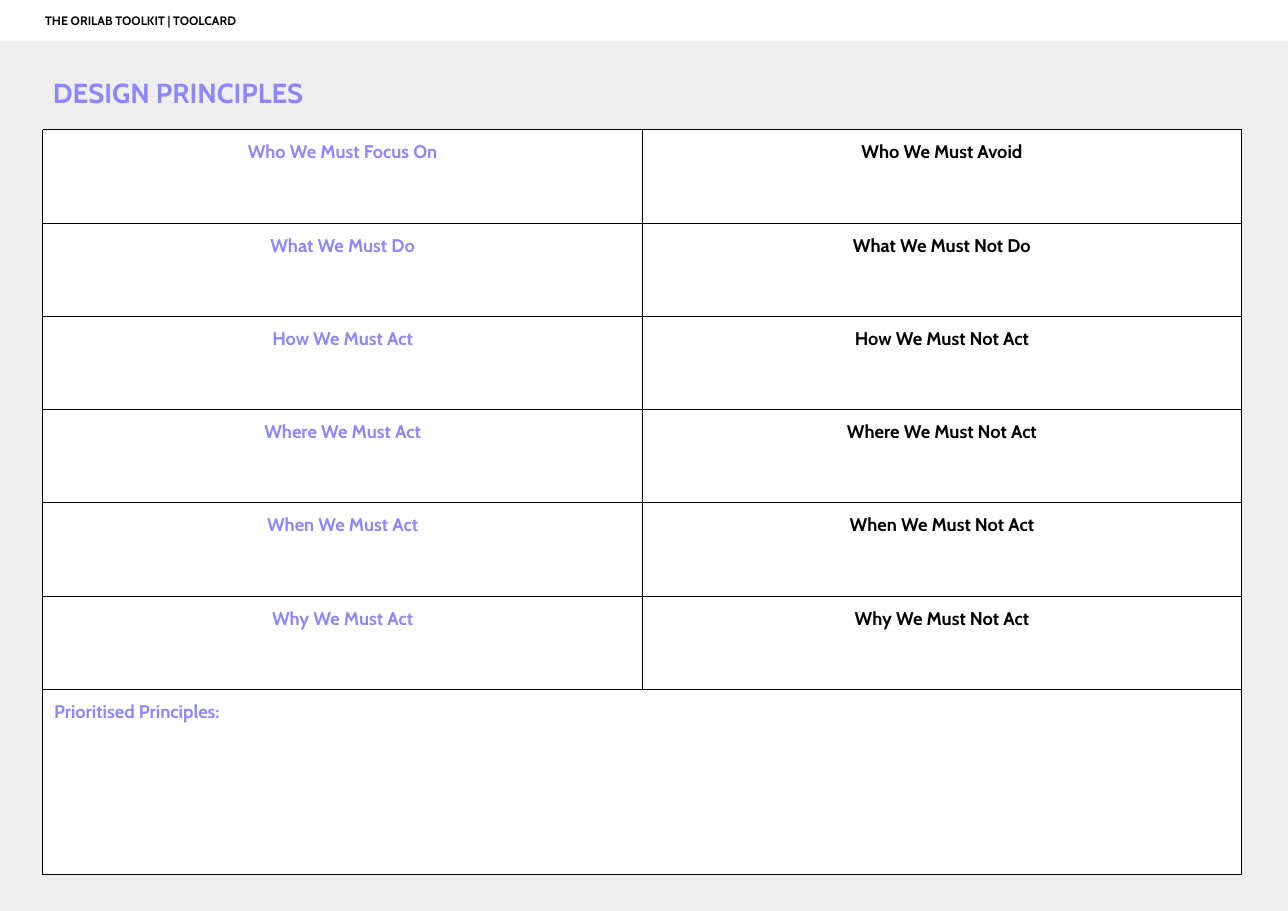
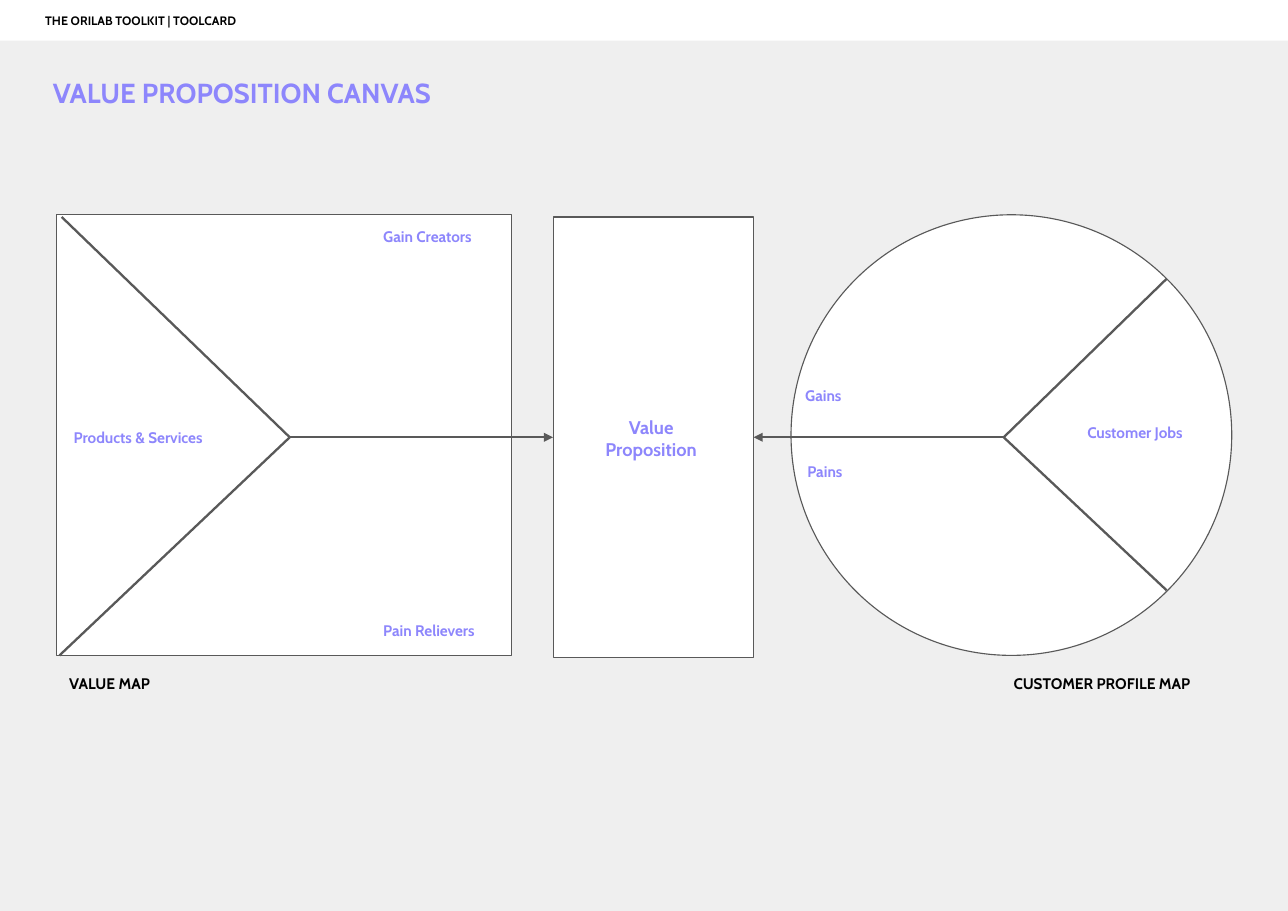
from lxml import etree
from pptx import Presentation
from pptx.dml.color import RGBColor
from pptx.enum import shapes, text
from pptx.oxml import ns
from pptx.util import Inches, Pt

VIOLET = RGBColor(0x8D, 0x86, 0xFC)
BLACK = RGBColor(0, 0, 0)
WHITE = RGBColor(0xFF, 0xFF, 0xFF)
PALE_GREY = RGBColor(0xEF, 0xEF, 0xEF)
DARK_GREY = RGBColor(0x59, 0x59, 0x59)
FONT = "Cabin"
WIDTH, HEIGHT = 11.69, 8.27
INSET = 0.1
RECTANGLE = shapes.MSO_SHAPE.RECTANGLE
OVAL = shapes.MSO_SHAPE.OVAL
LEFT, CENTER, RIGHT = text.PP_ALIGN.LEFT, text.PP_ALIGN.CENTER, text.PP_ALIGN.RIGHT

PRINCIPLES = [
    ("Who We Must Focus On", "Who We Must Avoid"),
    ("What We Must Do", "What We Must Not Do"),
    ("How We Must Act", "How We Must Not Act"),
    ("Where We Must Act", "Where We Must Not Act"),
    ("When We Must Act", "When We Must Not Act"),
    ("Why We Must Act", "Why We Must Not Act"),
]

CANVAS_LABELS = [
    ("Gain Creators", 3.38, 1.98, 1.14, {}),
    ("Pain Relievers", 3.38, 5.56, 1.14, {}),
    ("Products & Services", 0.57, 3.8, 1.82, {}),
    ("Gains", 7.21, 3.42, 1.14, {}),
    ("Pains", 7.23, 4.11, 1.14, {}),
    ("Customer Jobs", 9.77, 3.76, 1.3, {}),
    ("Value Proposition", 5.34, 3.68, 1.14, {"size": 12, "align": CENTER}),
    ("VALUE MAP", 0.53, 6.04, 1.14, {"color": BLACK}),
    ("CUSTOMER PROFILE MAP", 8.84, 6.04, 2.06, {"color": BLACK, "align": RIGHT}),
]


def write(frame, wording, size=10, color=VIOLET, align=LEFT):
    paragraph = frame.paragraphs[0]
    paragraph.alignment = align
    run = paragraph.add_run()
    run.text = wording
    run.font.name = FONT
    run.font.size = Pt(size)
    run.font.bold = True
    run.font.color.rgb = color


def set_insets(frame, indent=0):
    frame.margin_left = Inches(INSET + indent)
    frame.margin_right = frame.margin_top = frame.margin_bottom = Inches(INSET)


def add_label(slide, wording, left, top, width, height=0.37, indent=0, **style):
    frame = slide.shapes.add_textbox(
        Inches(left), Inches(top), Inches(width), Inches(height)).text_frame
    frame.word_wrap = True
    set_insets(frame, indent)
    write(frame, wording, **style)


def add_panel(slide, preset, left, top, width, height, outline=DARK_GREY):
    panel = slide.shapes.add_shape(
        preset, Inches(left), Inches(top), Inches(width), Inches(height))
    panel.shadow.inherit = False
    panel.fill.solid()
    panel.fill.fore_color.rgb = WHITE
    if outline is None:
        panel.line.fill.background()
    else:
        panel.line.color.rgb = outline
        panel.line.width = Pt(0.75)
    return panel


def add_line(slide, start, end, target=None, site=0):
    line = slide.shapes.add_connector(
        shapes.MSO_CONNECTOR.STRAIGHT, *(Inches(value) for value in start + end))
    line.line.color.rgb = DARK_GREY
    line.line.width = Pt(1.5)
    properties = line._element.spPr
    etree.SubElement(properties, ns.qn("a:effectLst"))
    if target is not None:
        line.end_connect(target, site)
        etree.SubElement(properties.find(ns.qn("a:ln")), ns.qn("a:tailEnd"), type="triangle")


def format_cell(cell):
    properties = cell._tc.get_or_add_tcPr()
    for side in ("lnL", "lnR", "lnT", "lnB"):
        border = etree.SubElement(properties, ns.qn(f"a:{side}"), w=str(Pt(0.75)))
        paint = etree.SubElement(border, ns.qn("a:solidFill"))
        etree.SubElement(paint, ns.qn("a:srgbClr"), val=str(BLACK))
    cell.fill.solid()
    cell.fill.fore_color.rgb = WHITE
    set_insets(cell)


def add_toolcard(deck, title):
    slide = deck.slides.add_slide(deck.slide_layouts[6])
    slide.background.fill.solid()
    slide.background.fill.fore_color.rgb = PALE_GREY
    band = add_panel(slide, RECTANGLE, 0, 0, WIDTH, 0.37, outline=None)
    set_insets(band.text_frame, indent=0.31)
    band.text_frame.vertical_anchor = text.MSO_ANCHOR.MIDDLE
    write(band.text_frame, "THE ORILAB TOOLKIT | TOOLCARD", size=8, color=BLACK)
    add_label(slide, title, 0, 0.59, 6.64, 0.51, indent=0.38, size=18)
    return slide


def add_principles_table(slide):
    pair_count = len(PRINCIPLES)
    pairs_height, summary_height = 5.08, 1.68
    table = slide.shapes.add_table(
        pair_count + 1, 2, Inches(0.39), Inches(1.18),
        Inches(10.88), Inches(pairs_height + summary_height)).table
    for row in table.rows:
        row.height = Inches(pairs_height / pair_count)
    table.rows[pair_count].height = Inches(summary_height)
    for cell in table.iter_cells():
        format_cell(cell)
    for index, pair in enumerate(PRINCIPLES):
        for column, (heading, color) in enumerate(zip(pair, (VIOLET, BLACK))):
            write(table.cell(index, column).text_frame, heading,
                  size=12, color=color, align=CENTER)
    summary = table.cell(pair_count, 0)
    summary.merge(table.cell(pair_count, 1))
    write(summary.text_frame, "Prioritised Principles:", size=12)


def add_value_canvas(slide):
    add_panel(slide, RECTANGLE, 0.51, 1.95, 4.13, 4)
    add_panel(slide, OVAL, 7.18, 1.95, 4, 4)
    proposition = add_panel(slide, RECTANGLE, 5.02, 1.97, 1.82, 4)
    value_hub, customer_hub = (2.63, 3.97), (9.11, 3.97)
    for hub, corners in (
        (value_hub, ((0.56, 1.97), (0.54, 5.95))),
        (customer_hub, ((10.59, 2.53), (10.59, 5.36))),
    ):
        for corner in corners:
            add_line(slide, corner, hub)
    add_line(slide, value_hub, (5.02, 3.97), proposition, 1)
    add_line(slide, customer_hub, (6.84, 3.97), proposition, 3)
    for wording, left, top, width, style in CANVAS_LABELS:
        height = 0.54 if "size" in style else 0.37
        add_label(slide, wording, left, top, width, height, **style)


def main():
    deck = Presentation()
    deck.slide_width, deck.slide_height = Inches(WIDTH), Inches(HEIGHT)
    add_principles_table(add_toolcard(deck, "DESIGN PRINCIPLES"))
    add_value_canvas(add_toolcard(deck, "VALUE PROPOSITION CANVAS"))
    deck.save("out.pptx")


if __name__ == "__main__":
    main()
